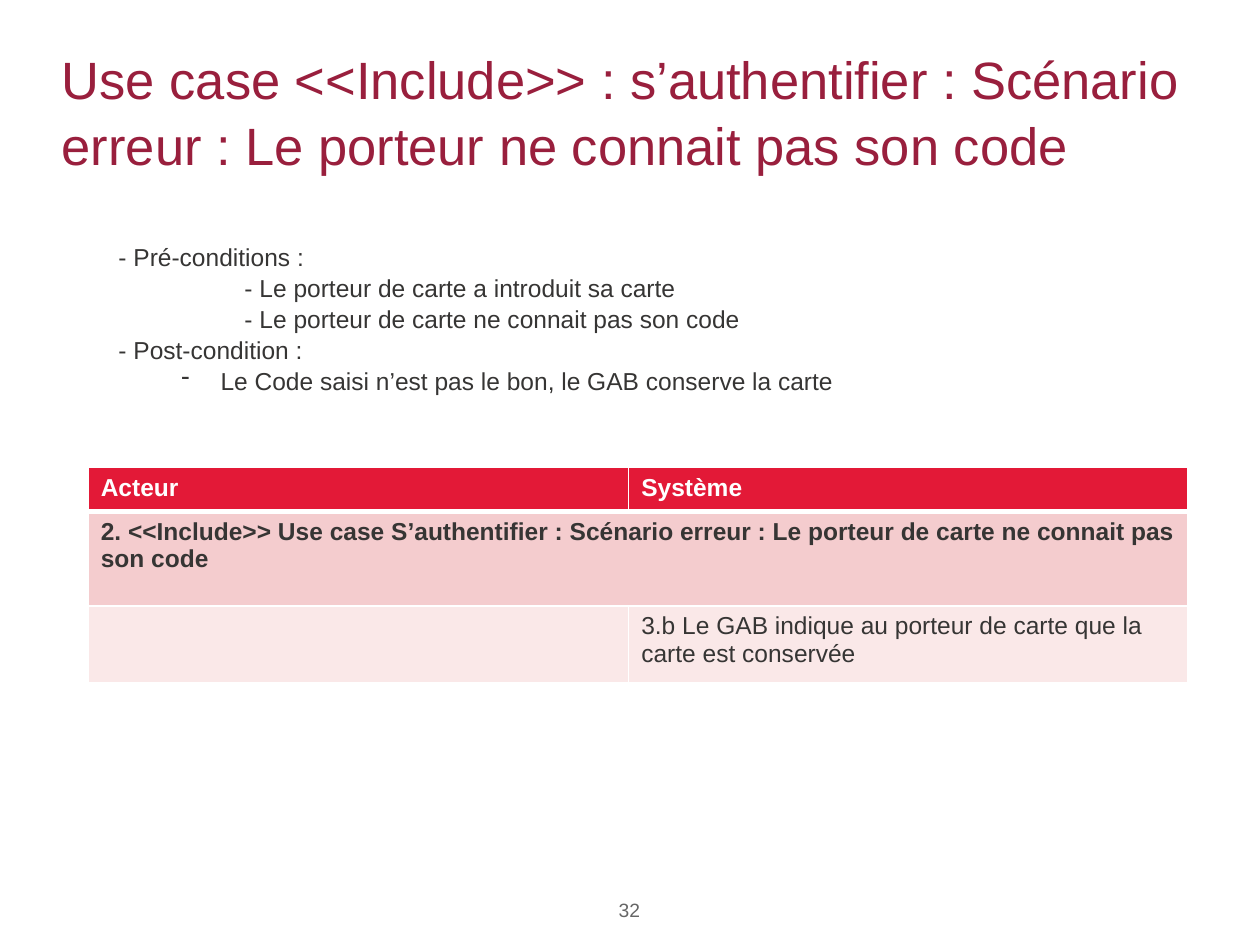
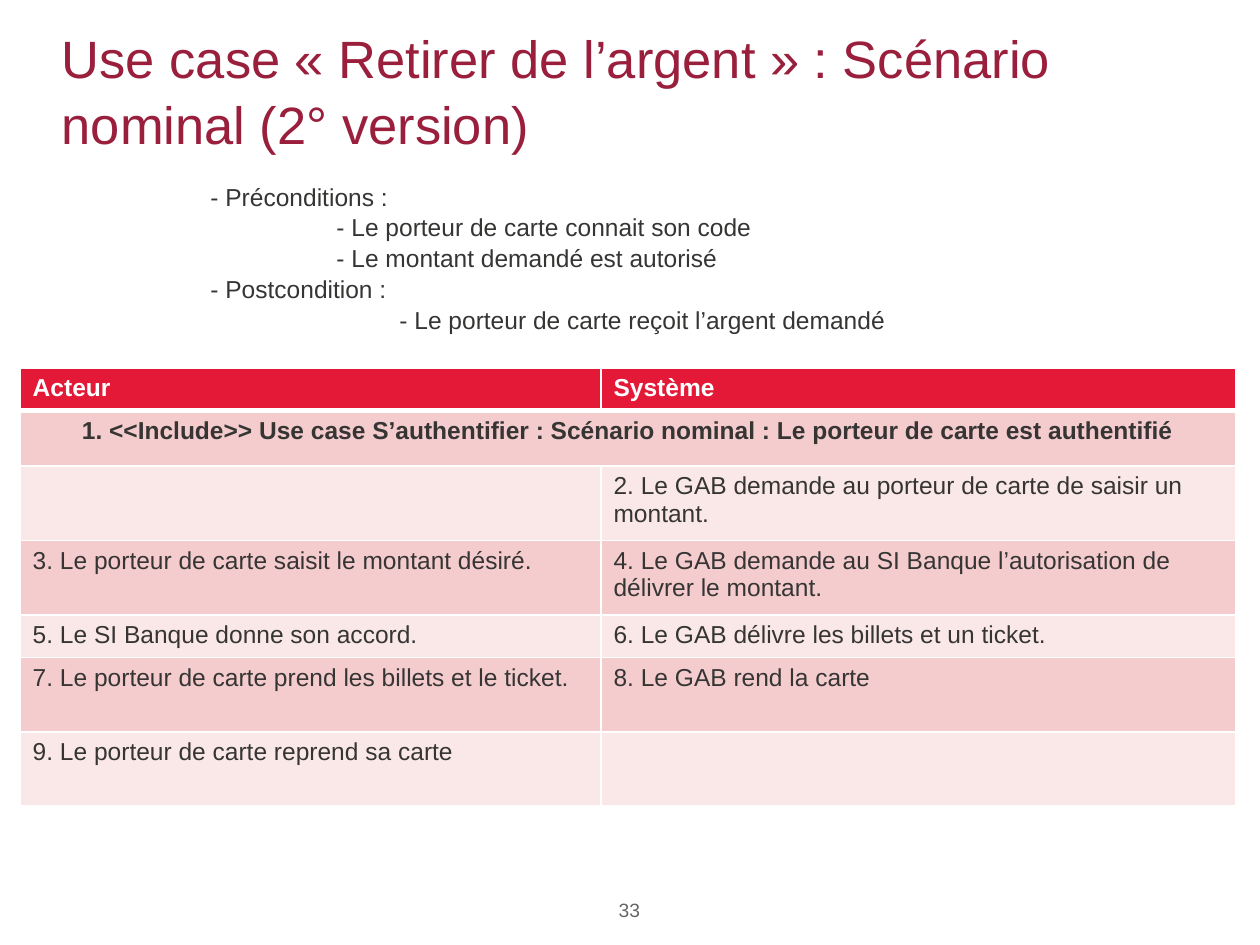
from lxml import etree
from pptx import Presentation
from pptx.dml.color import RGBColor
from pptx.enum import text
from pptx.oxml import ns
from pptx.util import Inches, Pt

# Shared look
FONT = "Arial"
TITLE, BODY, FOOTER, WHITE = "991F3D", "363534", "666666", "FFFFFF"
HEADER, BANDS = "E31937", ("F4CCCE", "FAE8E8")
LEFT, CENTER = text.PP_ALIGN.LEFT, text.PP_ALIGN.CENTER
TOP, MIDDLE = text.MSO_ANCHOR.TOP, text.MSO_ANCHOR.MIDDLE


def write(para, words, size, color, bold=False, align=LEFT, spacing=None):
    """Put one formatted span in a paragraph."""
    para.alignment = align
    para.line_spacing = spacing
    span = para.add_run()
    span.text = words
    span.font.color.rgb = RGBColor.from_string(color)
    for name, value in {"name": FONT, "size": Pt(size), "bold": bold}.items():
        setattr(span.font, name, value)


def add_frame(page, place, anchor=TOP):
    """Add a wrapping text box without margins."""
    frame = page.shapes.add_textbox(*map(Inches, place)).text_frame
    formats = {"word_wrap": True, "vertical_anchor": anchor, "margin_left": 0,
               "margin_top": 0, "margin_right": 0, "margin_bottom": 0}
    for name, value in formats.items():
        setattr(frame, name, value)
    return frame


# Conditions are (indent, bullet, words); a table row with one entry spans both columns
slides = [
    {
        "number": "32",
        "title": "Use case <<Include>> : s’authentifier : Scénario erreur : "
                 "Le porteur ne connait pas son code",
        "title_height": 1.34,
        "conditions_at": (0.94, 1.91, 7.75, 1.41),
        "conditions": [
            (0, False, "- Pré-conditions :"),
            (1, False, "- Le porteur de carte a introduit sa carte"),
            (1, False, "- Le porteur de carte ne connait pas son code"),
            (0, False, "- Post-condition :"),
            (0.81, True, "Le Code saisi n’est pas le bon, le GAB conserve la carte"),
        ],
        "table_at": (0.7, 3.71),
        "columns": (4.29, 4.44),
        "heights": (0.35, 0.75, 0.61),
        "span_align": LEFT,
        "rows": [
            ("Acteur", "Système"),
            ("2. <<Include>> Use case S’authentifier : Scénario erreur : "
             "Le porteur de carte ne connait pas son code",),
            ("", "3.b Le GAB indique au porteur de carte que la carte est conservée"),
        ],
    },
    {
        "number": "33",
        "title": "Use case «\u00a0Retirer de l’argent\u00a0» : Scénario nominal (2° version)",
        "title_height": 1.01,
        "conditions_at": (1.67, 1.43, 7.51, 1.65),
        "conditions": [
            (0, False, "- Préconditions :"),
            (1, False, "- Le porteur de carte connait son code"),
            (1, False, "- Le montant demandé est autorisé"),
            (0, False, "- Postcondition :"),
            (1.5, False, "- Le porteur de carte reçoit l’argent demandé"),
        ],
        "table_at": (0.16, 2.92),
        "columns": (4.61, 5.04),
        "heights": (0.34, 0.44, 0.59, 0.59, 0.34, 0.59, 0.59),
        "span_align": CENTER,
        "rows": [
            ("Acteur", "Système"),
            ("1. <<Include>> Use case S’authentifier : Scénario nominal : "
             "Le porteur de carte est authentifié",),
            ("", "2. Le GAB demande au porteur de carte de saisir un montant."),
            ("3. Le porteur de carte saisit le montant désiré.",
             "4. Le GAB demande au SI Banque l’autorisation de délivrer le montant."),
            ("5. Le SI Banque donne son accord.", "6. Le GAB délivre les billets et un ticket."),
            ("7. Le porteur de carte prend les billets et le ticket.", "8. Le GAB rend la carte"),
            ("9. Le porteur de carte reprend sa carte", ""),
        ],
    },
]

deck = Presentation()
deck.slide_width, deck.slide_height = Inches(10), Inches(7.5)

for content in slides:
    page = deck.slides.add_slide(deck.slide_layouts[6])

    # Title and page number
    frame = add_frame(page, (0.49, 0.2, 9.01, content["title_height"]), MIDDLE)
    write(frame.paragraphs[0], content["title"], 30, TITLE, spacing=1.05)
    frame = add_frame(page, (4.57, 7.13, 0.85, 0.26))
    write(frame.paragraphs[0], content["number"], 11, FOOTER, align=CENTER)

    # Conditions before and after the scenario
    frame = add_frame(page, content["conditions_at"])
    for index, (indent, bullet, words) in enumerate(content["conditions"]):
        para = frame.add_paragraph() if index else frame.paragraphs[0]
        write(para, words, 14, BODY, spacing=1.05)
        props = para._p.get_or_add_pPr()
        props.set("marL", str(Inches(indent)))
        if bullet:
            props.set("indent", str(Inches(-0.31)))
            etree.SubElement(props, ns.qn("a:buChar"), char="-")

    # Scenario table
    rows, columns, heights = content["rows"], content["columns"], content["heights"]
    size = (sum(columns), sum(heights))
    table = page.shapes.add_table(len(rows), len(columns),
                                  *map(Inches, content["table_at"] + size)).table
    for column, width in zip(table.columns, columns):
        column.width = Inches(width)
    for r, (entries, height) in enumerate(zip(rows, heights)):
        table.rows[r].height = Inches(height)
        spanned = len(entries) == 1
        for c, cell in enumerate(table.rows[r].cells):
            # White rules, thicker under the header
            thick = {0: "lnB", 1: "lnT"}.get(r)
            for side in ("lnL", "lnR", "lnT", "lnB"):
                line = etree.SubElement(cell._tc.get_or_add_tcPr(), ns.qn("a:" + side),
                                        w=str(Pt(3 if side == thick else 1)))
                fill = etree.SubElement(line, ns.qn("a:solidFill"))
                etree.SubElement(fill, ns.qn("a:srgbClr"), val=WHITE)
            cell.fill.solid()
            cell.fill.fore_color.rgb = RGBColor.from_string(BANDS[(r - 1) % 2] if r else HEADER)
            if c < len(entries) and entries[c]:
                write(cell.text_frame.paragraphs[0], entries[c], 14, BODY if r else WHITE,
                      bold=r == 0 or spanned,
                      align=content["span_align"] if spanned else LEFT)
        if spanned:
            table.cell(r, 0).merge(table.cell(r, 1))

deck.save("out.pptx")
